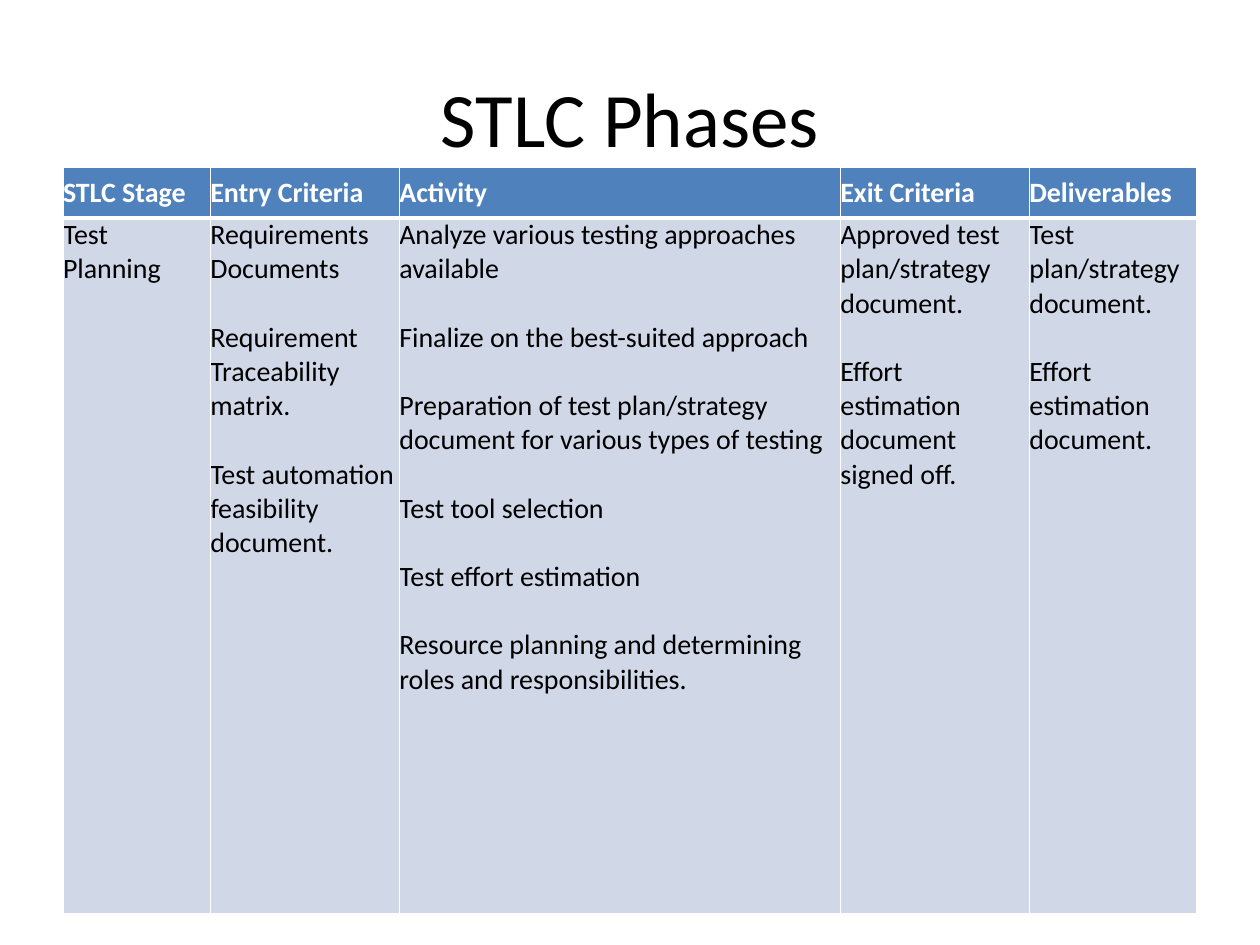
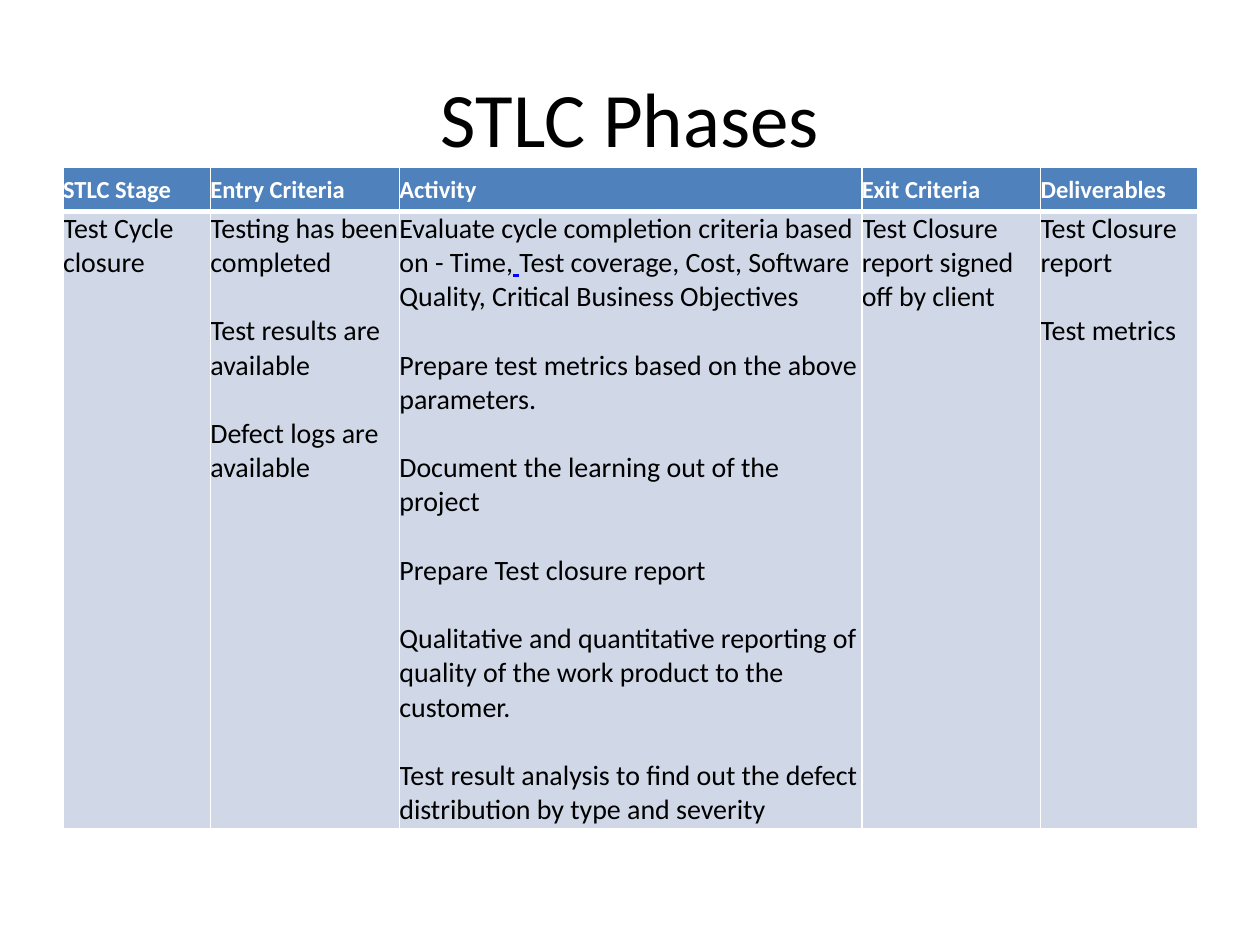
from dataclasses import dataclass

from lxml import etree
from pptx import Presentation
from pptx.dml.color import RGBColor
from pptx.enum import text as txt
from pptx.oxml import ns
from pptx.util import Inches, Pt

# Content: a paragraph is a string, or a list of (text, format) runs
TITLE = "STLC Phases"
HEADERS = ["STLC Stage", "Entry Criteria", "Activity", "Exit Criteria", "Deliverables"]

PHASES = [
    {
        "header_size": 16,
        "columns": [1.17, 1.5, 3.5, 1.5, 1.33],
        "rows": [0.4, 5.52],
        "cells": [
            ["Test Planning"],
            ["Requirements Documents",
             "Requirement Traceability matrix.",
             "Test automation feasibility document."],
            ["Analyze various testing approaches available",
             "Finalize on the best-suited approach",
             "Preparation of test plan/strategy document for various types of testing",
             "Test tool selection",
             "Test effort estimation",
             "Resource planning and determining roles and responsibilities."],
            ["Approved test plan/strategy document.",
             "Effort estimation document signed off."],
            ["Test plan/strategy document.",
             "Effort estimation document."],
        ],
    },
    {
        "header_size": 14,
        "columns": [1.17, 1.5, 3.67, 1.42, 1.25],
        "rows": [0.35, 4.9],
        "cells": [
            ["Test Cycle closure"],
            ["Testing has been completed",
             "Test results are available",
             "Defect logs are available"],
            [[("Evaluate cycle completion criteria based on - Time,", {}),
              (" ", {"color": "0000FF", "underline": True}),
              ("Test coverage, Cost, Software Quality, Critical Business Objectives", {})],
             "Prepare test metrics based on the above parameters.",
             "Document the learning out of the project",
             "Prepare Test closure report",
             "Qualitative and quantitative reporting of quality of the work product "
             "to the customer.",
             "Test result analysis to find out the defect distribution by type and severity"],
            ["Test Closure report signed off by client"],
            ["Test Closure report", "Test metrics"],
        ],
    },
]


@dataclass(frozen=True)
class Theme:
    font: str = "Calibri"
    ink: str = "000000"
    paper: str = "FFFFFF"
    header: str = "4F81BD"
    body: str = "D0D8E8"
    title_size: float = 44
    body_size: float = 16
    paragraph_gap: float = 19.5  # one line of body text
    thin: float = 1
    thick: float = 3


THEME = Theme()
TITLE_BOX = (0.5, 0.3, 9, 1.25)
TABLE_LEFT, TABLE_TOP = 0.5, 1.33


def write(frame, paragraphs, size=THEME.body_size, color=THEME.ink, bold=False,
          align=txt.PP_ALIGN.LEFT, gap=0):
    """Fill a text frame, with a gap before each paragraph but the first."""
    frame.word_wrap = True
    for index, content in enumerate(paragraphs):
        paragraph = frame.add_paragraph() if index else frame.paragraphs[0]
        paragraph.alignment = align
        paragraph.space_before = Pt(gap if index else 0)
        runs = [(content, {})] if isinstance(content, str) else content
        for words, style in runs:
            run = paragraph.add_run()
            run.text = words
            run.font.name = THEME.font
            run.font.size = Pt(size)
            run.font.bold = bold
            run.font.underline = style.get("underline", False)
            run.font.color.rgb = RGBColor.from_string(style.get("color", color))


def format_cell(cell, fill, anchor, top, bottom):
    """Remove margins, then set the borders and the fill."""
    cell.margin_left = cell.margin_right = cell.margin_top = cell.margin_bottom = 0
    cell.vertical_anchor = anchor
    properties = cell._tc.get_or_add_tcPr()
    widths = {"lnL": THEME.thin, "lnR": THEME.thin, "lnT": top, "lnB": bottom}
    for side, width in widths.items():
        line = etree.SubElement(properties, ns.qn(f"a:{side}"), w=str(Pt(width)))
        solid = etree.SubElement(line, ns.qn("a:solidFill"))
        etree.SubElement(solid, ns.qn("a:srgbClr"), val=THEME.paper)
    cell.fill.solid()
    cell.fill.fore_color.rgb = RGBColor.from_string(fill)


def add_title(slide):
    title = slide.shapes.title
    title.left, title.top, title.width, title.height = map(Inches, TITLE_BOX)
    title.text_frame.vertical_anchor = txt.MSO_ANCHOR.MIDDLE
    write(title.text_frame, [TITLE], size=THEME.title_size, align=txt.PP_ALIGN.CENTER)


def add_phase_table(slide, phase):
    columns, rows = phase["columns"], phase["rows"]
    table = slide.shapes.add_table(
        len(rows), len(columns), Inches(TABLE_LEFT), Inches(TABLE_TOP),
        Inches(sum(columns)), Inches(sum(rows))).table
    table.horz_banding = False
    for column, width in zip(table.columns, columns):
        column.width = Inches(width)
    for row, height in zip(table.rows, rows):
        row.height = Inches(height)

    for index, (heading, paragraphs) in enumerate(zip(HEADERS, phase["cells"])):
        header_cell, body_cell = table.cell(0, index), table.cell(1, index)
        format_cell(header_cell, THEME.header, txt.MSO_ANCHOR.MIDDLE,
                    top=THEME.thin, bottom=THEME.thick)
        write(header_cell.text_frame, [heading], size=phase["header_size"],
              color=THEME.paper, bold=True)
        format_cell(body_cell, THEME.body, txt.MSO_ANCHOR.TOP,
                    top=THEME.thick, bottom=THEME.thin)
        write(body_cell.text_frame, paragraphs, gap=THEME.paragraph_gap)


def main():
    presentation = Presentation()
    presentation.slide_width, presentation.slide_height = Inches(10), Inches(7.5)
    title_only = presentation.slide_layouts[5]
    for phase in PHASES:
        slide = presentation.slides.add_slide(title_only)
        add_title(slide)
        add_phase_table(slide, phase)
    presentation.save("out.pptx")


if __name__ == "__main__":
    main()
